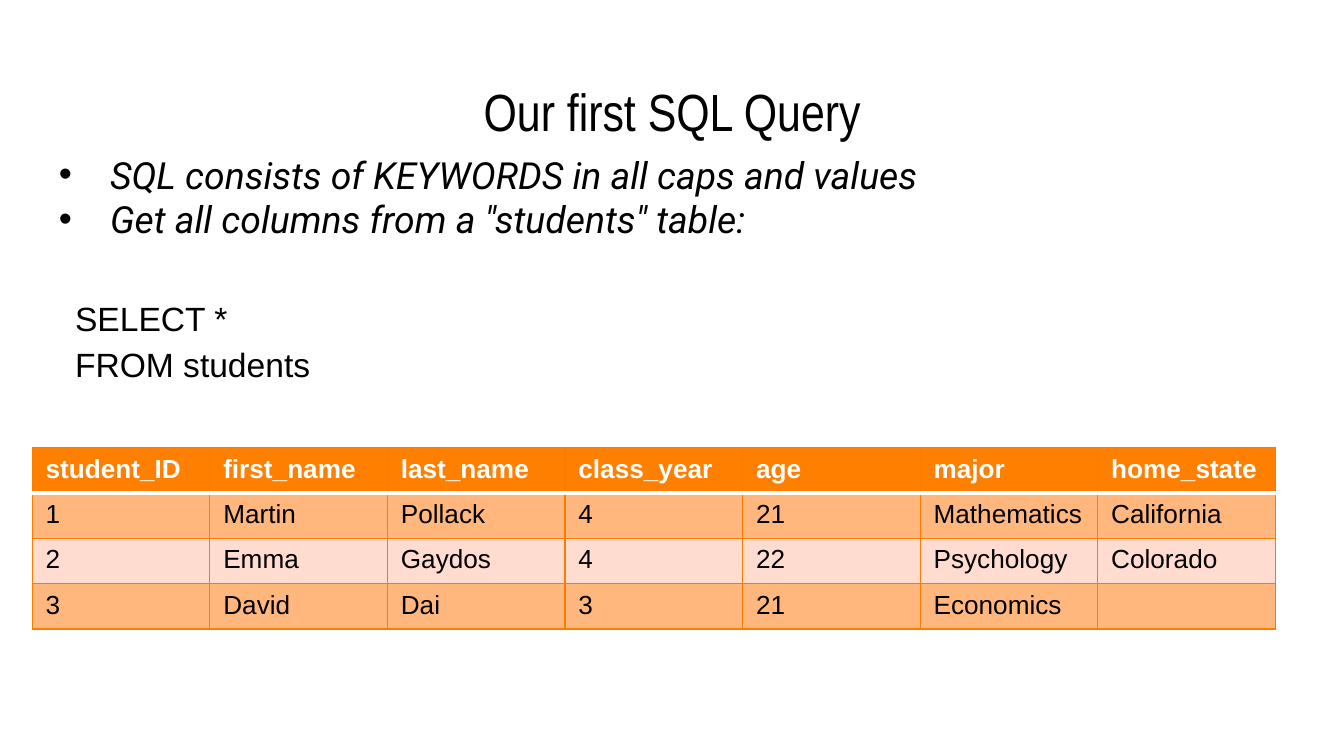
"""Build a slide that introduces a first SQL query with its result table."""
from dataclasses import dataclass

from lxml.etree import SubElement
from pptx import Presentation
from pptx.dml.color import RGBColor
from pptx.enum.text import MSO_ANCHOR, PP_ALIGN
from pptx.oxml import parse_xml
from pptx.oxml.ns import nsdecls, qn
from pptx.util import Inches, Pt


@dataclass(frozen=True)
class Theme:
    black: str = "000000"
    white: str = "FFFFFF"
    header: str = "FF8001"
    border: str = "FA7D00"
    odd_row: str = "FFB77D"
    even_row: str = "FFDBD0"
    title_size: int = 28
    bullet_size: int = 20
    query_size: int = 18
    table_size: int = 14


theme = Theme()


def add_text_box(left, top, width, height, inset):
    frame = slide.shapes.add_textbox(
        Inches(left), Inches(top), Inches(width), Inches(height)
    ).text_frame
    frame.word_wrap = True
    frame.vertical_anchor = MSO_ANCHOR.TOP
    frame.margin_left = frame.margin_right = Inches(0.1)
    frame.margin_top = frame.margin_bottom = Inches(inset)
    return frame


def add_text(paragraph, text, font_name, size, color=theme.black, bold=False, italic=False):
    run = paragraph.add_run()
    run.text = text
    run.font.name = font_name
    run.font.size = Pt(size)
    run.font.bold = bold
    run.font.italic = italic
    run.font.color.rgb = RGBColor.from_string(color)


presentation = Presentation()
presentation.slide_width = Inches(10)
presentation.slide_height = Inches(10) * 9 // 16
slide = presentation.slides.add_slide(presentation.slide_layouts[6])

title = add_text_box(0.34, 0.49, 9.32, 0.63, 0.1).paragraphs[0]
title.alignment = PP_ALIGN.CENTER
add_text(title, "Our first SQL Query", "Arial Narrow", theme.title_size)

query_frame = add_text_box(0.34, 2.07, 9.32, 2.26, 0.1)
for index, line in enumerate(["SELECT *", "FROM students"]):
    paragraph = query_frame.add_paragraph() if index else query_frame.paragraphs[0]
    paragraph.line_spacing = 1.15
    paragraph._p.get_or_add_pPr().set("marL", str(Inches(0.12)))
    add_text(paragraph, line, "Arial", theme.query_size)

bullet_frame = add_text_box(0.34, 1.08, 9.31, 0.77, 0.05)
bullets = [
    "SQL consists of KEYWORDS in all caps and values",
    'Get all columns from a "students" table:',
]
for index, line in enumerate(bullets):
    paragraph = bullet_frame.add_paragraph() if index else bullet_frame.paragraphs[0]
    properties = paragraph._p.get_or_add_pPr()
    properties.set("marL", str(Inches(0.38)))
    properties.set("indent", str(Inches(-0.38)))
    SubElement(properties, qn("a:buFont")).set("typeface", "Arial")
    SubElement(properties, qn("a:buChar")).set("char", "•")
    add_text(paragraph, line, "Roboto", theme.bullet_size, italic=True)

students = [
    ["student_ID", "first_name", "last_name", "class_year", "age", "major", "home_state"],
    ["1", "Martin", "Pollack", "4", "21", "Mathematics", "California"],
    ["2", "Emma", "Gaydos", "4", "22", "Psychology", "Colorado"],
    ["3", "David", "Dai", "3", "21", "Economics", ""],
]
fills = [theme.header, theme.odd_row, theme.even_row, theme.odd_row]
table = slide.shapes.add_table(
    len(students), len(students[0]), Inches(0.24), Inches(3.33), Inches(9.25), Inches(1.35)
).table

for row_index, (row, fill) in enumerate(zip(students, fills)):
    is_header = row_index == 0
    for column_index, value in enumerate(row):
        cell = table.cell(row_index, column_index)
        cell.fill.solid()
        cell.fill.fore_color.rgb = RGBColor.from_string(fill)
        paragraph = cell.text_frame.paragraphs[0]
        if value:
            color = theme.white if is_header else theme.black
            add_text(paragraph, value, "Arial", theme.table_size, color, bold=is_header)
        else:
            end_properties = SubElement(paragraph._p, qn("a:endParaRPr"))
            end_properties.set("sz", str(theme.table_size * 100))
        cell_properties = cell._tc.get_or_add_tcPr()
        for position, side in enumerate(["L", "R", "T", "B"]):
            is_divider = (row_index, side) in [(0, "B"), (1, "T")]
            color, width = (theme.white, 2) if is_divider else (theme.border, 0.75)
            border = parse_xml(
                f'<a:ln{side} {nsdecls("a")} w="{Pt(width)}"><a:solidFill>'
                f'<a:srgbClr val="{color}"/></a:solidFill></a:ln{side}>'
            )
            cell_properties.insert(position, border)

presentation.save("out.pptx")
